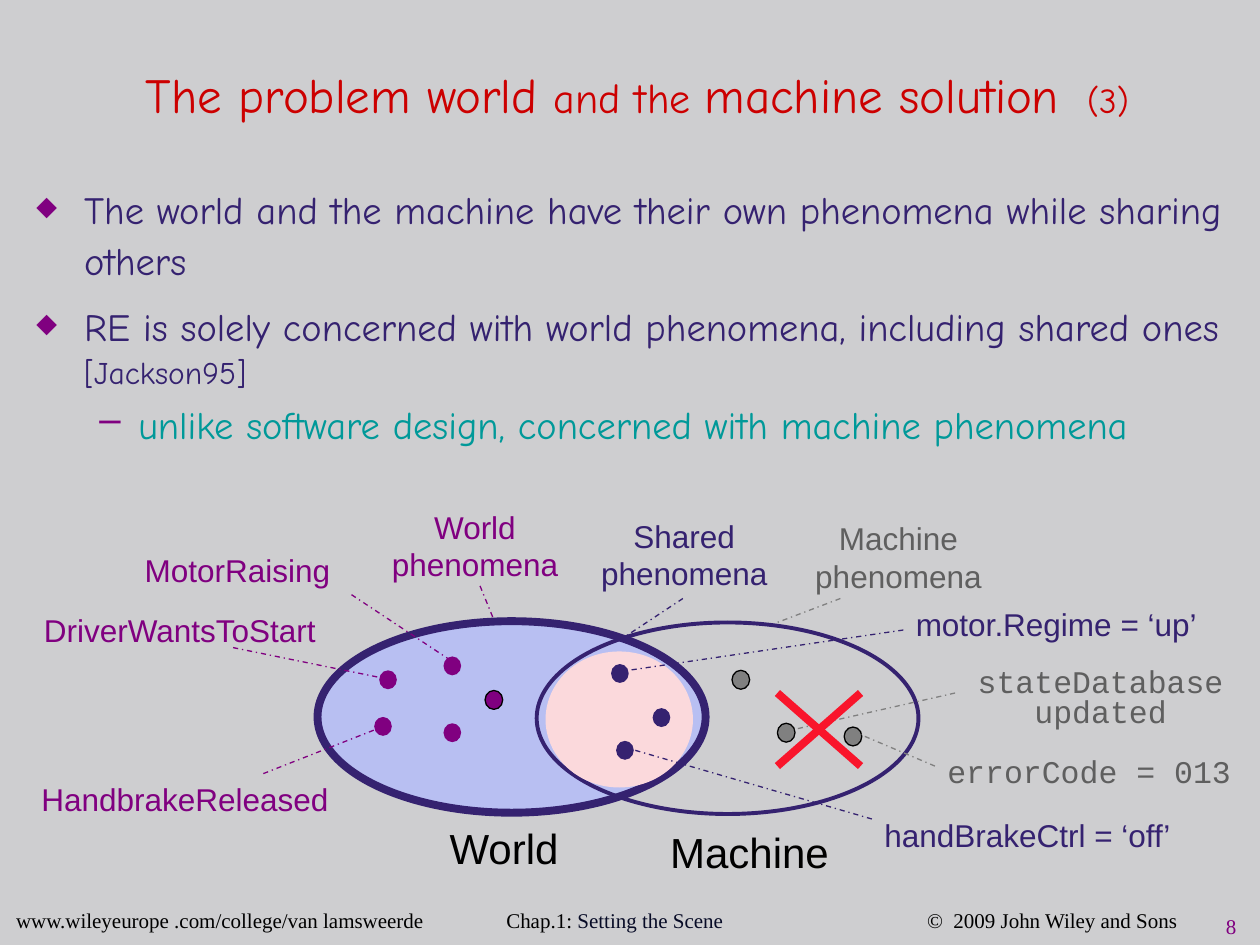
from lxml.etree import SubElement
from pptx import Presentation
from pptx.dml.color import RGBColor
from pptx.enum.dml import MSO_LINE_DASH_STYLE as Dash
from pptx.enum.shapes import MSO_CONNECTOR as Connector, MSO_SHAPE as Shape
from pptx.enum.text import MSO_ANCHOR as Anchor, PP_ALIGN as Align
from pptx.oxml.ns import qn
from pptx.util import Inches, Pt

COLUMNS, ROWS = 100, 75
CELL = Inches(0.1)
COLORS = {
    "background": "CECED0", "title": "CC0000", "navy": "352270", "purple": "800080",
    "teal": "009999", "gray": "808080", "dark_gray": "5F5F5F", "black": "000000",
    "ink": "070B26", "world": "B8BFF2", "shared": "FBD9DC", "cross": "F9152B",
}
DOT_SIZE = (1.4, 1.5)


def color(name):
    """Return the named colour."""
    return RGBColor.from_string(COLORS[name])


def grid(*cells):
    """Turn grid cells into slide lengths."""
    return [round(cell * CELL) for cell in cells]


def apply_format(target, values):
    """Set each format value on the target."""
    for name, value in values.items():
        setattr(target, name, value)


def add_runs(paragraph, runs, font_name):
    """Append (text, size, colour) runs to a paragraph."""
    for text, size, color_name in runs:
        run = paragraph.add_run()
        run.text = text
        apply_format(run.font, {"name": font_name, "size": Pt(size)})
        run.font.color.rgb = color(color_name)


def add_text(slide, box, paragraphs, font_name="Arial", anchor=Anchor.TOP, **layout):
    """Add a text box of paragraphs and return its paragraphs."""
    frame = slide.shapes.add_textbox(*grid(*box)).text_frame
    apply_format(frame, {"word_wrap": True, "vertical_anchor": anchor})
    for index, runs in enumerate(paragraphs):
        paragraph = frame.add_paragraph() if index else frame.paragraphs[0]
        add_runs(paragraph, runs, font_name)
        apply_format(paragraph, layout)
    return frame.paragraphs


def add_label(slide, box, text, color_name, size=18, **layout):
    """Add a diagram label with one paragraph per line of text."""
    add_text(slide, box, [[(line, size, color_name)] for line in text.split("\n")], **layout)


def add_bullet(paragraph, character, left, hanging, percent):
    """Give a paragraph a purple hanging bullet."""
    properties = paragraph._p.get_or_add_pPr()
    properties.set("marL", str(Inches(left)))
    properties.set("indent", str(-Inches(hanging)))
    bullet_color = SubElement(properties, qn("a:buClr"))
    SubElement(bullet_color, qn("a:srgbClr"), val=COLORS["purple"])
    SubElement(properties, qn("a:buSzPct"), val=str(percent * 1000))
    SubElement(properties, qn("a:buChar"), char=character)


def add_tabs(paragraph, positions):
    """Set left tab stops on a paragraph."""
    tabs = SubElement(paragraph._p.get_or_add_pPr(), qn("a:tabLst"))
    for position in positions:
        SubElement(tabs, qn("a:tab"), pos=str(Inches(position)), algn="l")


def add_ellipse(slide, box, fill=None, line=None, width=0.75):
    """Add an ellipse with optional fill and outline."""
    shape = slide.shapes.add_shape(Shape.OVAL, *grid(*box))
    shape.shadow.inherit = False
    if fill:
        shape.fill.solid()
        shape.fill.fore_color.rgb = color(fill)
    else:
        shape.fill.background()
    if line:
        shape.line.color.rgb = color(line)
        shape.line.width = Pt(width)
    else:
        shape.line.fill.background()


def add_line(slide, ends, color_name, width=0.75, dash=Dash.DASH_DOT):
    """Add a straight line between two grid points."""
    connector = slide.shapes.add_connector(Connector.STRAIGHT, *grid(*ends))
    SubElement(connector._element.spPr, qn("a:effectLst"))
    connector.line.color.rgb = color(color_name)
    apply_format(connector.line, {"width": Pt(width), "dash_style": dash})


def add_title(slide):
    """Add the slide title."""
    runs = [("The problem world ", 28, "title"), ("and the ", 24, "title"),
            ("machine solution ", 28, "title"), (" (3)", 20, "title")]
    add_text(slide, (3.3, 3.3, 94.6, 8.3), [runs], "Comic Neue", Anchor.MIDDLE,
             alignment=Align.CENTER)


def add_body(slide):
    """Add the bulleted statements."""
    first, second, detail = add_text(slide, (1.9, 11.2, 96.7, 27.5), [
        [("The world and the machine have their own phenomena while sharing others", 22, "navy")],
        [("RE is solely concerned with world phenomena, including shared ones ", 22, "navy"),
         ("[Jackson95]", 18, "navy")],
        [("unlike software design, concerned with machine phenomena", 22, "teal")],
    ], "Comic Neue", Anchor.MIDDLE)
    for paragraph in (first, second):
        paragraph.line_spacing = 1.1
        add_bullet(paragraph, "◆", 0.38, 0.38, 70)
    second.space_before = Pt(8.8)
    apply_format(detail, {"level": 1, "space_before": Pt(5.5)})
    add_bullet(detail, "–", 0.81, 0.31, 100)


def add_footer(slide):
    """Add the footer line and the page number."""
    footer, = add_text(slide, (0.3, 72.1, 99.7, 2.5), [[
        ("www.wileyeurope .com/college/van lamsweerde\tChap.1: ", 12, "black"),
        ("Setting the Scene\t", 12, "ink"),
        ("©  2009 John Wiley and Sons", 12, "black"),
    ]], "Times New Roman", line_spacing=0.7)
    add_tabs(footer, (3.89, 7.23))
    add_text(slide, (93.3, 71.6, 5.8, 3.4), [[("8", 12, "purple")]], "Times New Roman",
             alignment=Align.RIGHT, line_spacing=1.2)


def add_sets(slide):
    """Add the overlapping sets with their phenomena as dots."""
    add_ellipse(slide, (25.2, 49.3, 30.8, 15.2), "world", "navy", 4.5)
    add_ellipse(slide, (42.6, 49.4, 30.3, 15.2), None, "navy", 2.25)
    add_ellipse(slide, (43.3, 51.7, 11.7, 10.8), "shared")
    dots = [
        ("purple", None, [(30.1, 53.2), (35.2, 52.1), (29.7, 56.9), (35.2, 57.4)]),
        ("purple", "black", [(38.5, 54.8)]),
        ("gray", "black", [(58.1, 53.2), (61.7, 57.4), (67, 57.7)]),
        ("navy", None, [(48.5, 52.7), (48.9, 58.8), (51.8, 56.2)]),
    ]
    for fill, line, corners in dots:
        for corner in corners:
            add_ellipse(slide, corner + DOT_SIZE, fill, line)


def add_lines(slide):
    """Add the label leaders and the cross over machine phenomena."""
    leaders = {
        "purple": [(27.9, 47.2, 35.6, 52.3), (18.5, 51.4, 30.3, 53.8),
                   (20.9, 61.4, 29.8, 57.9), (38.1, 46.5, 39.2, 49.2)],
        "gray": [(74.2, 60.8, 68.3, 58.3), (66.7, 47.5, 61.7, 49.4), (75.8, 55, 63, 57.9)],
        "navy": [(54.2, 47.5, 49.2, 50.8), (71.7, 50, 49.9, 53.2), (69.2, 65, 49.2, 59.2)],
    }
    for color_name, lines in leaders.items():
        for ends in lines:
            add_line(slide, ends, color_name)
    for start, end in ((60.8, 55), (55, 60.8)):
        add_line(slide, (61.7, start, 68.3, end), "cross", 4.5, Dash.SOLID)


def add_labels(slide):
    """Add the names of the sets and phenomena."""
    add_label(slide, (34.7, 64.8, 11.7, 5.2), "World", "black", 24)
    add_label(slide, (52.2, 65.1, 16, 4.1), "Machine", "black", 24)
    for left, top, width, text, color_name in [
        (10.5, 43.2, 19.3, "MotorRaising", "purple"),
        (2.3, 61.4, 28.5, "HandbrakeReleased", "purple"),
        (2.5, 48, 27.5, "DriverWantsToStart", "purple"),
        (71.7, 47.5, 27.6, "motor.Regime = ‘up’", "navy"),
        (69.2, 64.3, 29.6, "handBrakeCtrl = ‘off’", "navy"),
    ]:
        add_label(slide, (left, top, width, 4.1), text, color_name)
    for left, top, name, color_name in [(28.1, 39.8, "World", "purple"),
                                        (44.7, 40.5, "Shared", "navy"),
                                        (61.7, 40.7, "Machine", "dark_gray")]:
        add_label(slide, (left, top, 19.2, 7.5), f"{name}\nphenomena", color_name,
                  alignment=Align.CENTER)
    add_label(slide, (74.2, 59.2, 24.9, 4.1), "errorCode = 013", "dark_gray",
              font_name="Courier New")
    add_label(slide, (74.7, 52.6, 25.3, 4.1), "stateDatabase\nupdated", "dark_gray",
              font_name="Courier New", alignment=Align.CENTER, line_spacing=0.8)


def main():
    """Build and save the slide."""
    presentation = Presentation()
    apply_format(presentation, dict(zip(("slide_width", "slide_height"), grid(COLUMNS, ROWS))))
    slide = presentation.slides.add_slide(presentation.slide_layouts[6])
    slide.background.fill.solid()
    slide.background.fill.fore_color.rgb = color("background")
    for add_part in (add_footer, add_title, add_body, add_sets, add_lines, add_labels):
        add_part(slide)
    presentation.save("out.pptx")


if __name__ == "__main__":
    main()
